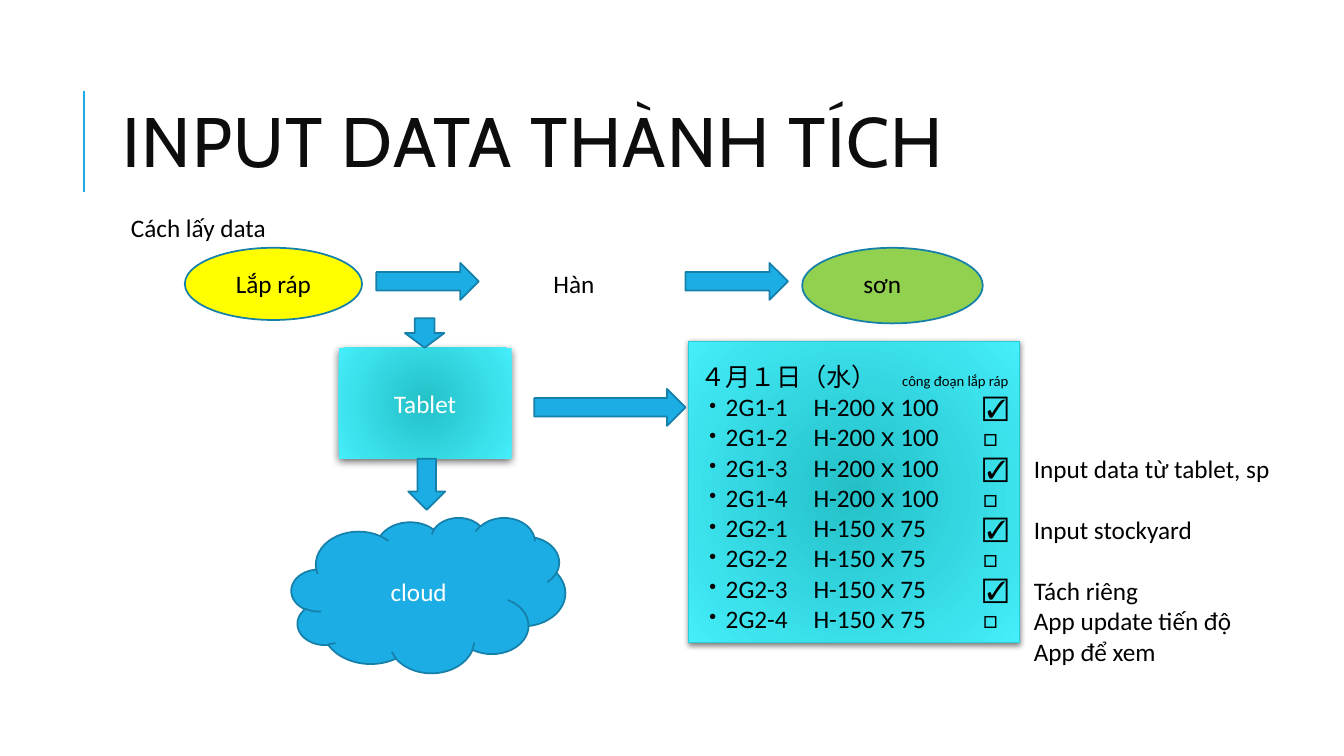
from lxml import etree
from pptx import Presentation
from pptx.dml.color import RGBColor
from pptx.enum.shapes import MSO_CONNECTOR, MSO_SHAPE
from pptx.enum.text import MSO_ANCHOR, MSO_AUTO_SIZE, PP_ALIGN
from pptx.oxml.ns import qn
from pptx.util import Inches, Pt

ELLIPSE, RECTANGLE, CLOUD = MSO_SHAPE.OVAL, MSO_SHAPE.RECTANGLE, MSO_SHAPE.CLOUD
RIGHT, DOWN = MSO_SHAPE.RIGHT_ARROW, MSO_SHAPE.DOWN_ARROW
STRAIGHT = MSO_CONNECTOR.STRAIGHT
TOP, MIDDLE = MSO_ANCHOR.TOP, MSO_ANCHOR.MIDDLE
LEFT, CENTER = PP_ALIGN.LEFT, PP_ALIGN.CENTER
FIXED = MSO_AUTO_SIZE.NONE

COLORS = {"blue": "1CADE4", "edge": "1580A9", "yellow": "FFFF00", "green": "92D050",
          "teal": "24C0C8", "aqua": "44EEFA", "rim": "27CED7",
          "black": "000000", "white": "FFFFFF", "title": "0D0D0D"}
COLUMNS, ROWS = 160, 90
LINE = 22  # height of one line of body text, in points


def rgb(name):
    return RGBColor.from_string(COLORS[name])


def add_xml(parent, tag, **attributes):
    element = etree.SubElement(parent, qn(tag))
    for key, value in attributes.items():
        element.set(key, str(value))
    return element


def write_text(paragraph, text, size=18, color="black", font="Calibri", spacing=None):
    run = paragraph.add_run()
    run.text = text
    run.font.size, run.font.name = Pt(size), font
    run.font.color.rgb = rgb(color)
    if spacing:
        run.font._element.set("spc", str(spacing))


class SlideBuilder:
    """Places elements on a grid of COLUMNS by ROWS."""

    def __init__(self, presentation):
        self.width, self.height = presentation.slide_width, presentation.slide_height
        self.slide = presentation.slides.add_slide(presentation.slide_layouts[1])
        self.shapes = self.slide.shapes

    def box(self, left, top, width, height):
        column, row = self.width / COLUMNS, self.height / ROWS
        return [round(value) for value in (left * column, top * row, width * column, height * row)]

    def place(self, shape, *area):
        shape.left, shape.top, shape.width, shape.height = self.box(*area)

    def title(self, text, *area):
        title = self.shapes.title
        self.place(title, *area)
        frame = title.text_frame
        frame.auto_size, frame.vertical_anchor = FIXED, MIDDLE
        paragraph = frame.paragraphs[0]
        paragraph.alignment, paragraph.line_spacing = LEFT, 0.8
        write_text(paragraph, text, size=50, color="title", font="Cabin", spacing=100)

    def vertical_line(self, column, top, bottom):
        left, start, _, end = self.box(column, top, 0, bottom)
        line = self.shapes.add_connector(STRAIGHT, left, start, left, end)
        line.line.color.rgb, line.line.width = rgb("blue"), Pt(1.5)
        add_xml(line._element.spPr, "a:effectLst")

    def shape(self, kind, *area, fill="blue", line="edge", weight=1.25, text="", color="white"):
        shape = self.shapes.add_shape(kind, *self.box(*area))
        shape.shadow.inherit = False
        if fill:
            shape.fill.solid()
            shape.fill.fore_color.rgb = rgb(fill)
        if line:
            shape.line.color.rgb, shape.line.width = rgb(line), Pt(weight)
        else:
            shape.line.fill.background()
        if text:
            shape.text_frame.vertical_anchor = MIDDLE
            paragraph = shape.text_frame.paragraphs[0]
            paragraph.alignment = CENTER
            write_text(paragraph, text, color=color)
        return shape

    def glowing_panel(self, *area, alpha, blur, distance, **style):
        panel = self.shape(RECTANGLE, *area, fill=None, **style)
        panel.fill.gradient()
        for stop, name in zip(panel.fill.gradient_stops, ("teal", "aqua")):
            stop.color.rgb = rgb(name)
        # Radial gradient in place of the linear one
        properties = panel._element.spPr
        gradient = properties.find(qn("a:gradFill"))
        gradient.remove(gradient.find(qn("a:lin")))
        radial = add_xml(gradient, "a:path", path="circle")
        add_xml(radial, "a:fillToRect", **dict.fromkeys("ltrb", 100000))
        # Soft shadow below
        shadow = add_xml(properties.find(qn("a:effectLst")), "a:outerShdw", blurRad=Pt(blur),
                         dist=Pt(distance), dir=5400000, algn="ctr", rotWithShape=0)
        black = add_xml(shadow, "a:srgbClr", val=COLORS["black"])
        add_xml(black, "a:alpha", val=alpha * 1000)

    def text(self, lines, *area):
        """Each line is a text and the space before it in points."""
        frame = self.shapes.add_textbox(*self.box(*area)).text_frame
        frame.word_wrap = True
        for index, (text, space) in enumerate(lines):
            paragraph = frame.add_paragraph() if index else frame.paragraphs[0]
            if space:
                paragraph.space_before = Pt(space)
            write_text(paragraph, text)

    def checklist(self, heading, remark, rows, *area):
        body = self.slide.placeholders[1]
        self.place(body, *area)
        self.shapes._spTree.append(body._element)  # in front of its panel
        frame = body.text_frame
        frame.auto_size, frame.vertical_anchor, frame.word_wrap = FIXED, TOP, True
        first = frame.paragraphs[0]
        self.list_format(first)
        write_text(first, heading)
        write_text(first, remark, size=10.5)
        for row in rows:
            paragraph = frame.add_paragraph()
            self.list_format(paragraph, bullet="・", hang=0.15, tabs=(1.12, 2.8))
            write_text(paragraph, "\t".join(row))

    def list_format(self, paragraph, bullet=None, hang=0, tabs=()):
        paragraph.alignment, paragraph.line_spacing = LEFT, 1.0
        paragraph.space_before = Pt(0)
        properties = paragraph._p.get_or_add_pPr()
        properties.set("marL", str(Inches(hang)))
        properties.set("indent", str(-Inches(hang)))
        if not bullet:
            add_xml(properties, "a:buNone")
            return
        add_xml(properties, "a:buFont", typeface="Calibri")
        add_xml(properties, "a:buChar", char=bullet)
        stops = add_xml(properties, "a:tabLst")
        for position in tabs:
            add_xml(stops, "a:tab", pos=Inches(position), algn="l")


def main():
    presentation = Presentation()
    presentation.slide_width, presentation.slide_height = Inches(13.33), Inches(7.5)
    builder = SlideBuilder(presentation)

    # Title and caption
    builder.vertical_line(10, 10.8, 22.8)
    builder.title("INPUT DATA THÀNH TÍCH", 13.4, 7.7, 127.6, 19.7)
    builder.text([("Cách lấy data", 0)], 14.4, 24.7, 30.2, 4.8)

    # Production steps
    builder.shape(ELLIPSE, 22, 29.5, 21.1, 8.6, fill="yellow", text="Lắp ráp", color="black")
    builder.shape(ELLIPSE, 95.5, 29.5, 21.5, 9, fill="green")
    for step, left in (("Hàn", 64.7), ("sơn", 101.6)):
        builder.text([(step, 0)], left, 31.4, 10, 4.8)

    # Tablet, checklist panel and cloud
    builder.glowing_panel(40.3, 41.4, 20.6, 13.2, alpha=60, blur=6, distance=2,
                          line=None, text="Tablet")
    builder.glowing_panel(82, 40.6, 39.4, 35.9, alpha=50, blur=4, distance=1,
                          line="rim", weight=0.75)
    builder.shape(CLOUD, 34.7, 61.6, 32.6, 18.5, text="cloud")

    # Arrows
    for kind, *area in ((RIGHT, 44.8, 31.3, 12.2, 4.4), (RIGHT, 81.6, 31.3, 12.2, 4.4),
                        (RIGHT, 63.6, 46.3, 18, 4.4), (DOWN, 48.2, 37.9, 4.7, 3.5),
                        (DOWN, 48.6, 54.6, 4.4, 6.1)):
        builder.shape(kind, *area)

    # Checklist: odd items are ticked
    rows = [(f"{group}-{number}", size, "☑" if number % 2 else "□")
            for group, size in (("2G1", "H-200ｘ100"), ("2G2", "H-150ｘ75"))
            for number in range(1, 5)]
    builder.checklist("４月１日（水）　", "công đoạn lắp ráp", rows, 82.2, 42.4, 39.4, 35.3)

    # Notes beside the checklist
    builder.text([("Input data từ tablet, sp", 0), ("Input stockyard", LINE),
                  ("Tách riêng", LINE), ("App update tiến độ", 0), ("App để xem", 0)],
                 121.9, 53.4, 33.5, 26.6)

    presentation.save("out.pptx")


if __name__ == "__main__":
    main()
